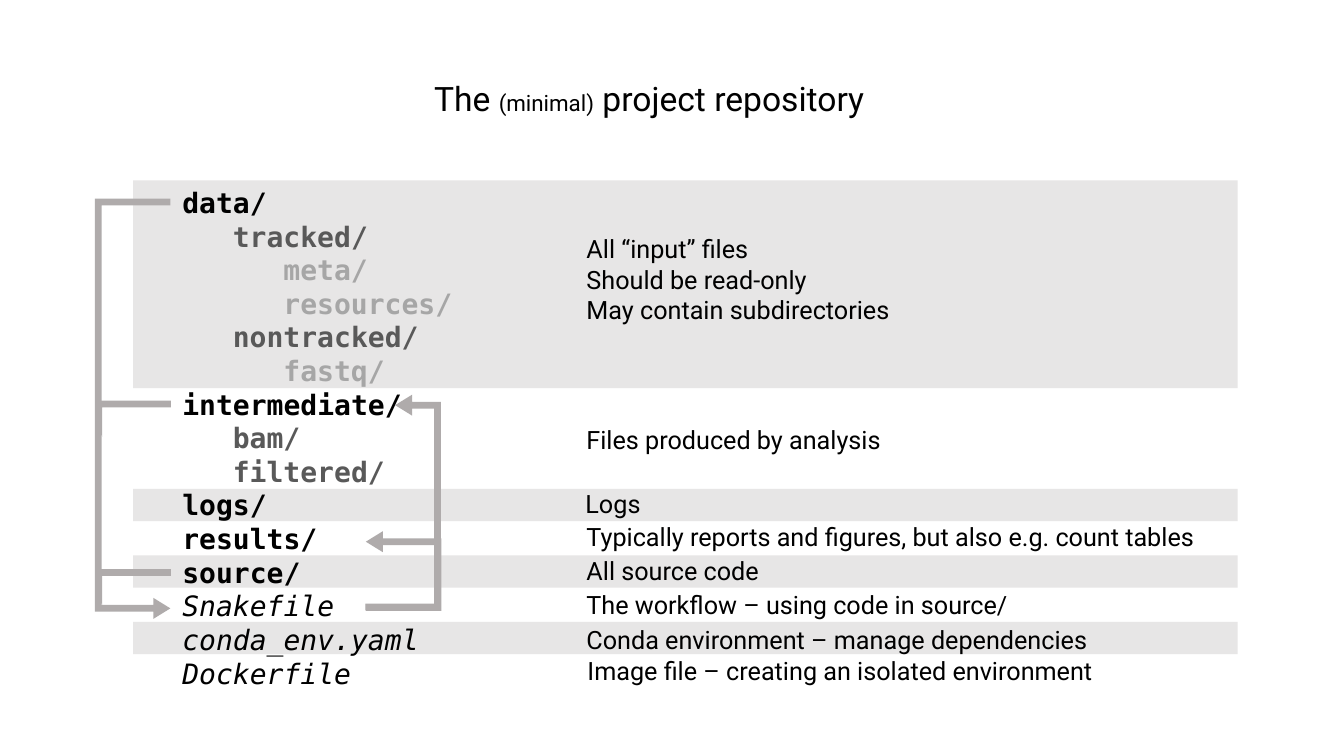
from dataclasses import dataclass
from typing import NamedTuple

from pptx import Presentation
from pptx.dml import color
from pptx.enum import shapes, text
from pptx.util import Pt


@dataclass(frozen=True)
class Theme:
    black: str = "000000"
    dark: str = "595959"
    light: str = "A6A6A6"
    band: str = "E7E6E6"
    arrow: str = "AFABAB"
    mono: str = "DejaVu Sans Mono"
    sans: str = "Roboto"
    title: int = 24
    small: int = 16
    tree: int = 20
    note: int = 18


class Entry(NamedTuple):
    name: str
    level: int = 0


class Note(NamedTuple):
    top: float
    words: str
    width: float = 406.08
    left: float = 411.84
    height: float = 28.8


class Arrow(NamedTuple):
    left: float
    top: float
    length: float
    flip: str
    bends: tuple[float, ...]


THEME = Theme()
INDENT = 36.12  # three monospaced characters per level
SPAN = 54  # visible width of every arrow

ENTRIES = [
    Entry("data/"),
    Entry("tracked/", 1),
    Entry("meta/", 2),
    Entry("resources/", 2),
    Entry("nontracked/", 1),
    Entry("fastq/", 2),
    Entry("intermediate/"),
    Entry("bam/", 1),
    Entry("filtered/", 1),
    Entry("logs/"),
    Entry("results/"),
    Entry("source/"),
    Entry("Snakefile"),
    Entry("conda_env.yaml"),
    Entry("Dockerfile"),
]

NOTES = [
    Note(163.44, "All “input” files\nShould be read-only\nMay contain subdirectories", height=72.72),
    Note(299.52, "Files produced by analysis", 472.32),
    Note(345.6, "Logs", 500.4, 411.12),
    Note(368.64, "Typically reports and figures, but also e.g. count tables", 500.4),
    Note(393.12, "All source code"),
    Note(417.6, "The workflow – using code in source/"),
    Note(442.08, "Conda environment – manage dependencies"),
    Note(464.4, "Image file – creating an isolated environment", left=412.56),
]

HEAD = (0.09, 0.139, 0.225, 0)
STUB = (0.189, 0.139, 0, 0, 0.078)
ARROWS = [
    Arrow(261, 281.88, 154.08, "flipH", (*HEAD, 0.606)),  # Snakefile to intermediate
    Arrow(261.36, 379.44, 56.88, "flipH", (*HEAD, 1)),  # Snakefile to results
    Arrow(67.68, 141.84, 300.24, "flipV", (*HEAD, 1)),  # data to Snakefile
    Arrow(68.04, 406.44, 25.92, "flipV", STUB),  # source joins
    Arrow(68.04, 286.2, 25.92, "flipV", STUB),  # intermediate joins
]


def tint(hue: str) -> color.RGBColor:
    return color.RGBColor.from_string(hue)


def add_form(slide, kind, box: tuple[float, ...], hue: str):
    form = slide.shapes.add_shape(kind, *map(Pt, box))
    form.shadow.inherit = False
    form.fill.solid()
    form.fill.fore_color.rgb = tint(hue)
    form.line.fill.background()
    return form


def add_text(slide, box: tuple[float, ...], words: str):
    frame = slide.shapes.add_textbox(*map(Pt, box)).text_frame
    frame.word_wrap = True
    frame.auto_size = text.MSO_AUTO_SIZE.SHAPE_TO_FIT_TEXT
    frame.text = words
    return frame


def set_font(font, face: str, size: int, hue: str = THEME.black) -> None:
    font.name = face
    font.size = Pt(size)
    font.color.rgb = tint(hue)


def add_tree(slide) -> None:
    frame = add_text(slide, (123.12, 128.88, 258.48, 370.8), "\n".join(e.name for e in ENTRIES))
    hues = (THEME.black, THEME.dark, THEME.light)
    for entry, para in zip(ENTRIES, frame.paragraphs):
        para._p.get_or_add_pPr().set("marL", str(Pt(INDENT * entry.level)))
        font = para.runs[0].font
        set_font(font, THEME.mono, THEME.tree, hues[entry.level])
        font.bold = entry.name.endswith("/")
        font.italic = not font.bold


def add_note(slide, note: Note) -> None:
    frame = add_text(slide, (note.left, note.top, note.width, note.height), note.words)
    for para in frame.paragraphs:
        set_font(para.runs[0].font, THEME.sans, THEME.note)


def add_arrow(slide, arrow: Arrow) -> None:
    # Turn the frame a quarter about its centre
    shift = (arrow.length - SPAN) / 2
    box = (arrow.left - shift, arrow.top + shift, arrow.length, SPAN)
    form = add_form(slide, shapes.MSO_SHAPE.U_TURN_ARROW, box, THEME.arrow)
    form.rotation = 90
    form._element.spPr.xfrm.set(arrow.flip, "1")
    for spot, bend in enumerate(arrow.bends):
        form.adjustments[spot] = bend


def add_title(slide) -> None:
    para = add_text(slide, (260.64, 51.84, 406.08, 36), "").paragraphs[0]
    para.alignment = text.PP_ALIGN.CENTER
    parts = (("The ", THEME.title), ("(minimal)", THEME.small), (" project repository", THEME.title))
    for words, size in parts:
        run = para.add_run()
        run.text = words
        set_font(run.font, THEME.sans, size)


def main() -> None:
    deck = Presentation()
    deck.slide_width, deck.slide_height = Pt(960), Pt(540)
    slide = deck.slides.add_slide(deck.slide_layouts[6])

    # Grey bands: one tall, then every second row
    bands = [(128.88, 148.32)] + [(349.2 + 47.52 * i, 23.04) for i in range(3)]
    for top, height in bands:
        add_form(slide, shapes.MSO_SHAPE.RECTANGLE, (95.04, top, 789.12, height), THEME.band)

    # Folder tree and its notes
    add_tree(slide)
    for note in NOTES:
        add_note(slide, note)

    # Data flow
    for arrow in ARROWS:
        add_arrow(slide, arrow)

    add_title(slide)
    deck.save("out.pptx")


if __name__ == "__main__":
    main()
